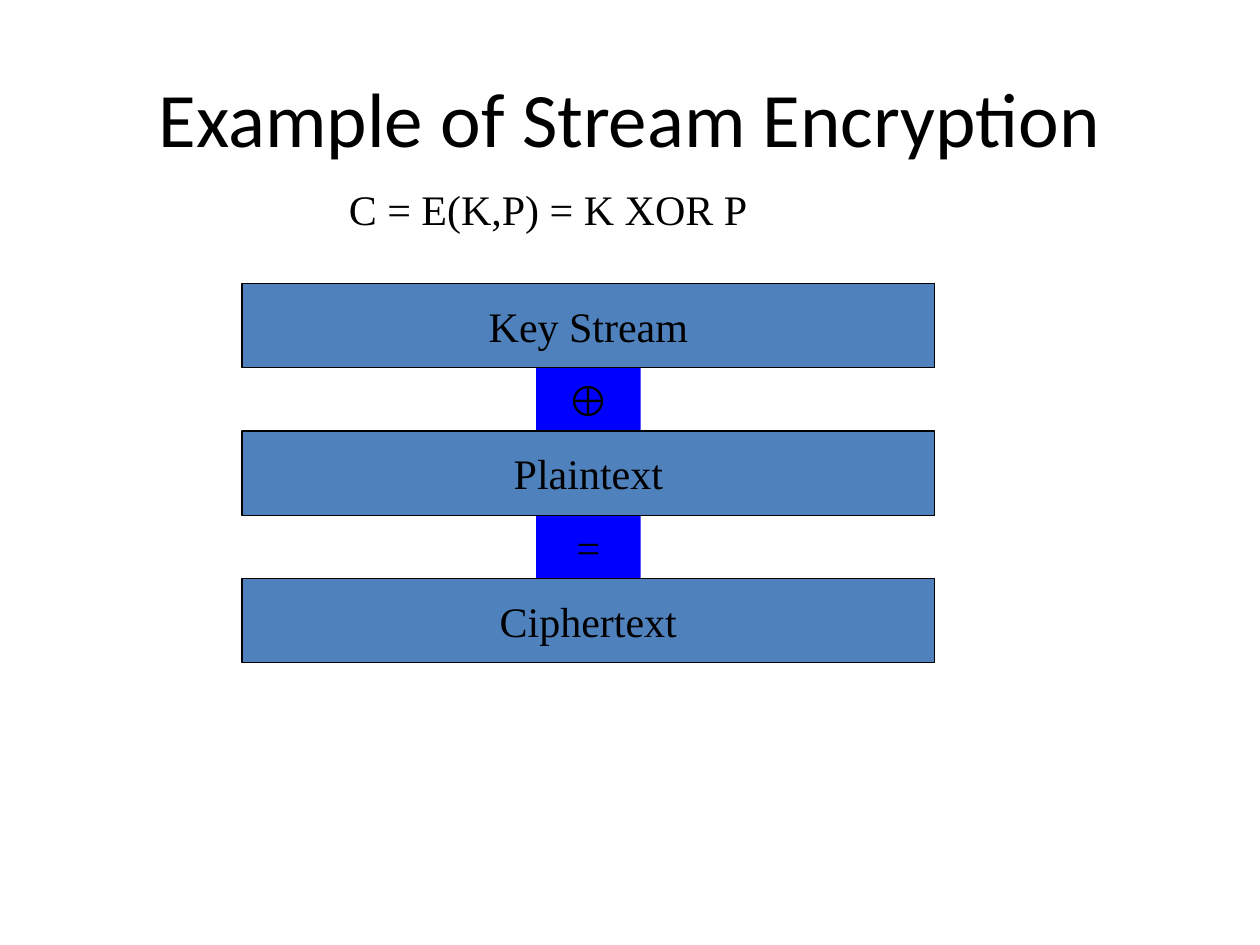
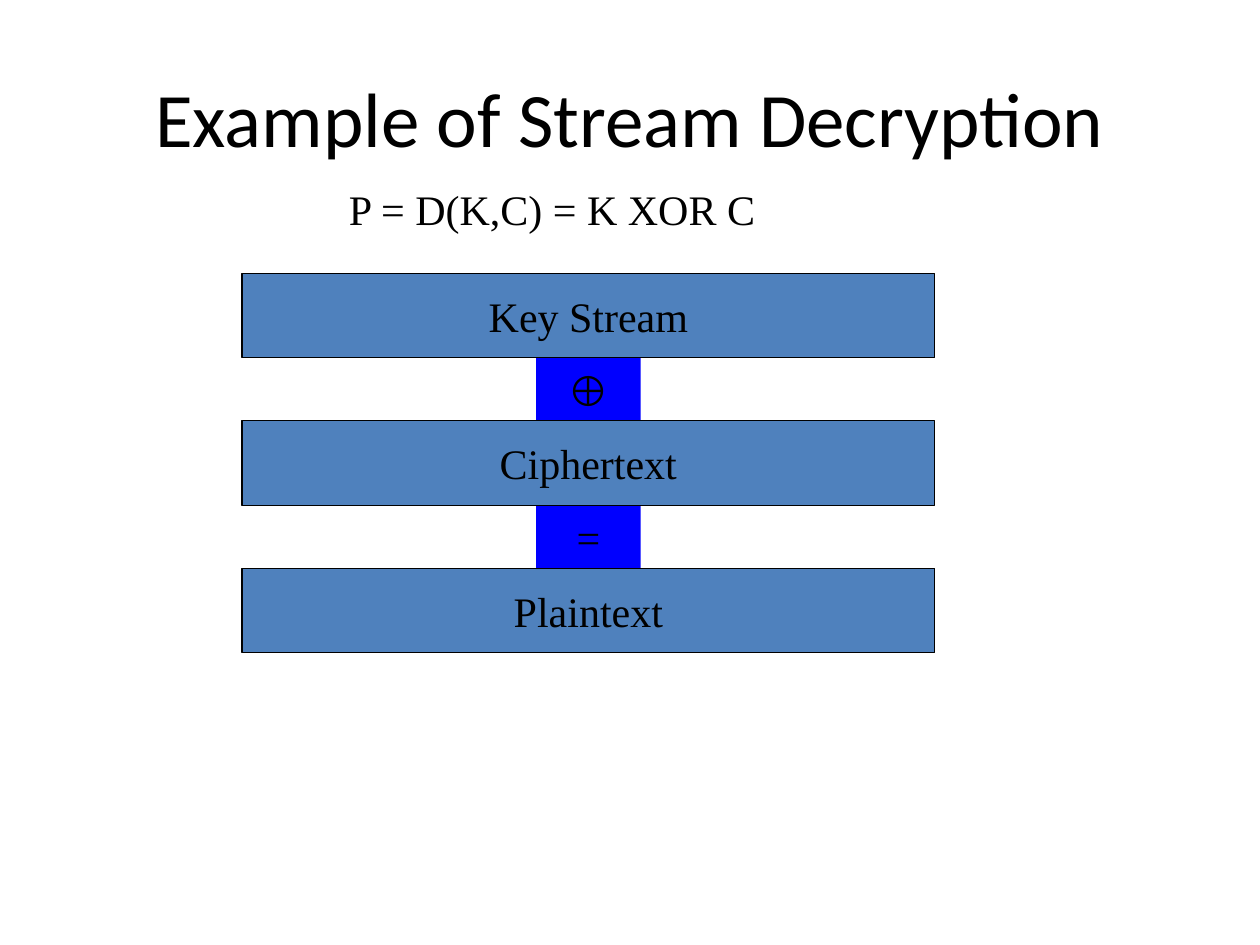
import pptx
import pptx.dml.color
import pptx.enum.shapes
import pptx.enum.text
import pptx.util

Inches = pptx.util.Inches
Pt = pptx.util.Pt
ALIGN = pptx.enum.text.PP_ALIGN
MIDDLE = pptx.enum.text.MSO_ANCHOR.MIDDLE

COLORS = {"text": "000000", "outline": "000000", "bar": "4F81BD", "operator": "0000FF"}
BAR_LEFT, BAR_WIDTH, BAR_HEIGHT = 1.92, 5.5, 0.67
OPERATOR_WIDTH, OPERATOR_HEIGHT = 0.83, 0.5
OPERATOR_LEFT = BAR_LEFT + (BAR_WIDTH - OPERATOR_WIDTH) / 2
PITCH = BAR_HEIGHT + OPERATOR_HEIGHT
OPERATORS = ["⊕", "="]

CIPHER_SLIDES = [
    ("Example of Stream Encryption", "C = E(K,P) = K XOR P", 3.4, 2.25,
     ["Key Stream", "Plaintext", "Ciphertext"]),
    ("Example of Stream Decryption", "P = D(K,C) = K XOR C", 3.46, 2.17,
     ["Key Stream", "Ciphertext", "Plaintext"]),
]


class Deck:
    title_font, title_size = "Calibri", 44
    body_font, body_size = "Times New Roman", 24

    def __init__(self):
        self.presentation = pptx.Presentation()
        self.presentation.slide_width = Inches(10)
        self.presentation.slide_height = Inches(7.5)
        self.slide = None

    def color(self, name):
        return pptx.dml.color.RGBColor.from_string(COLORS[name])

    def add_slide(self):
        self.slide = self.presentation.slides.add_slide(self.presentation.slide_layouts[5])

    def add_text(self, frame, text, font, size, align):
        paragraph = frame.paragraphs[0]
        paragraph.alignment = align
        run = paragraph.add_run()
        run.text = text
        run.font.name = font
        run.font.size = Pt(size)
        run.font.color.rgb = self.color("text")

    def title(self, text):
        heading = self.slide.shapes.title
        heading.left, heading.top = Inches(0.5), Inches(0.3)
        heading.width, heading.height = Inches(9), Inches(1.25)
        heading.text_frame.vertical_anchor = MIDDLE
        self.add_text(heading.text_frame, text, self.title_font, self.title_size, ALIGN.CENTER)

    def formula(self, text, width):
        formula = self.slide.shapes.add_textbox(
            Inches(2.67), Inches(1.41), Inches(width), Inches(0.51))
        formula.text_frame.word_wrap = False
        formula.text_frame.auto_size = pptx.enum.text.MSO_AUTO_SIZE.SHAPE_TO_FIT_TEXT
        self.add_text(formula.text_frame, text, self.body_font, self.body_size, ALIGN.LEFT)

    def block(self, text, left, top, width, height, fill, outline=None):
        block = self.slide.shapes.add_shape(
            pptx.enum.shapes.MSO_SHAPE.RECTANGLE,
            Inches(left), Inches(top), Inches(width), Inches(height))
        block.shadow.inherit = False
        block.fill.solid()
        block.fill.fore_color.rgb = self.color(fill)
        if outline:
            block.line.color.rgb = self.color(outline)
            block.line.width = Pt(0.75)
        else:
            block.line.fill.background()
        block.text_frame.word_wrap = False
        block.text_frame.vertical_anchor = MIDDLE
        self.add_text(block.text_frame, text, self.body_font, self.body_size, ALIGN.CENTER)

    def cipher_stack(self, top, streams):
        for row, operator in enumerate(OPERATORS):
            self.block(operator, OPERATOR_LEFT, top + BAR_HEIGHT + row * PITCH,
                       OPERATOR_WIDTH, OPERATOR_HEIGHT, "operator")
        for row, stream in enumerate(streams):
            self.block(stream, BAR_LEFT, top + row * PITCH,
                       BAR_WIDTH, BAR_HEIGHT, "bar", "outline")


def main():
    deck = Deck()
    for title, formula, formula_width, stack_top, streams in CIPHER_SLIDES:
        deck.add_slide()
        deck.title(title)
        deck.cipher_stack(stack_top, streams)
        deck.formula(formula, formula_width)
    deck.presentation.save("out.pptx")


if __name__ == "__main__":
    main()
